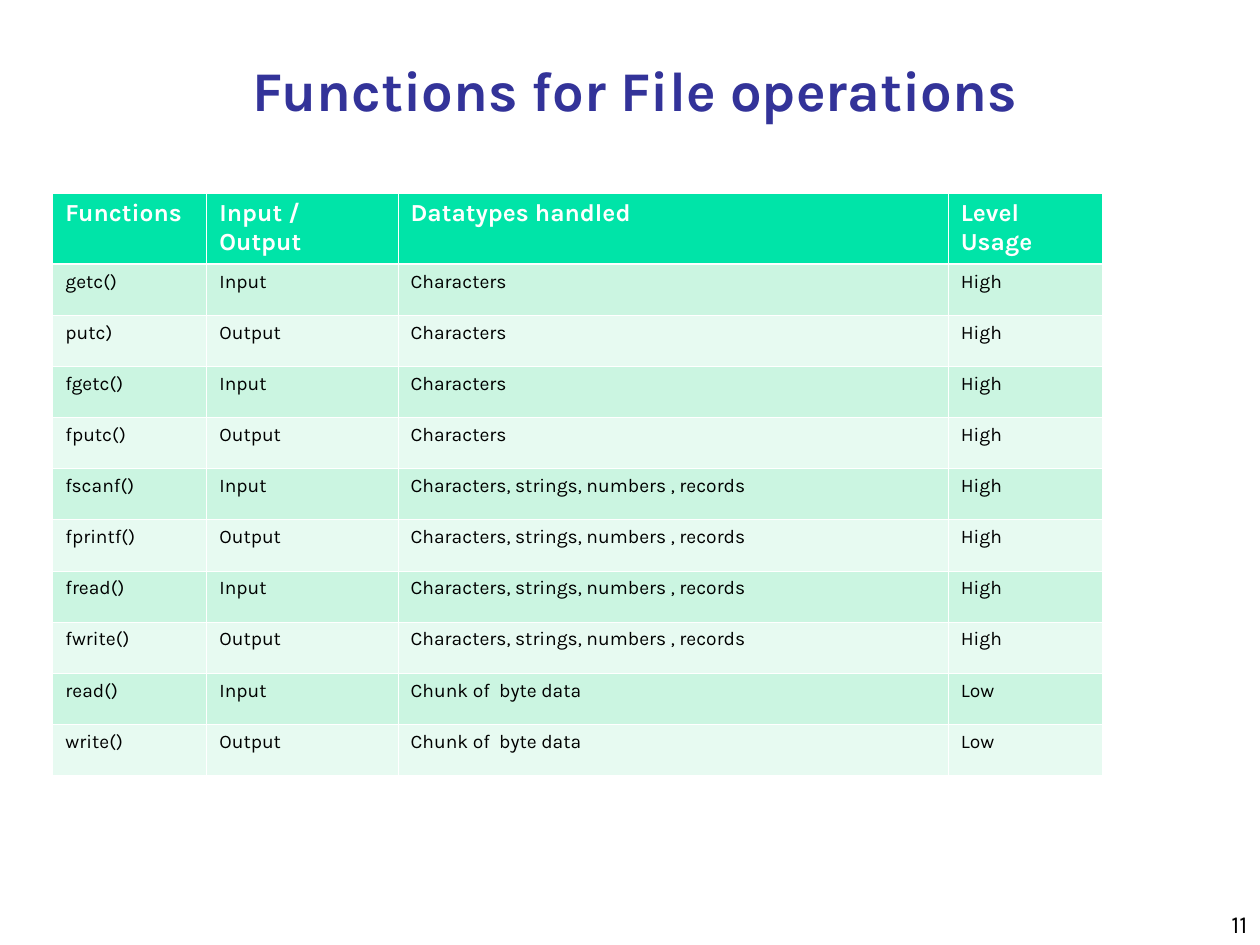
import pptx
import pptx.dml.color
import pptx.enum.text
import pptx.oxml
import pptx.oxml.ns
import pptx.util

Pt = pptx.util.Pt
ALIGN = pptx.enum.text.PP_ALIGN
ANCHOR = pptx.enum.text.MSO_ANCHOR
FONT = "Karla"
HEADER_FILL = "00E4A8"
BAND_FILLS = ("CBF5E1", "E7FAF1")
COLUMN_WIDTHS = (88, 109.3, 314.4, 88.3)
HEADER_HEIGHT = 40.7
ROW_HEIGHT = 29.2
HEADERS = ("Functions", "Input /\nOutput", "Datatypes handled", "Level\nUsage")
CHARACTERS = "Characters"
MIXED = "Characters, strings, numbers , records"
BYTES = "Chunk of  byte data"
FUNCTION_PAIRS = (
    ("getc()", "putc)", CHARACTERS, "High"),
    ("fgetc()", "fputc()", CHARACTERS, "High"),
    ("fscanf()", "fprintf()", MIXED, "High"),
    ("fread()", "fwrite()", MIXED, "High"),
    ("read()", "write()", BYTES, "Low"),
)


def rgb(color):
    return pptx.dml.color.RGBColor.from_string(color)


def add_text(tf, text, size, color, bold=False, align=ALIGN.LEFT):
    for i, line in enumerate(text.split("\n")):
        p = tf.paragraphs[0] if i == 0 else tf.add_paragraph()
        p.alignment = align
        r = p.add_run()
        r.text = line
        r.font.name = FONT
        r.font.size = Pt(size)
        r.font.bold = bold
        r.font.color.rgb = rgb(color)


def place(sp, left, top, width, height):
    sp.left, sp.top = Pt(left), Pt(top)
    sp.width, sp.height = Pt(width), Pt(height)


def add_title(s, text):
    sp = s.shapes.title
    place(sp, 42, 24, 642, 54)
    tf = sp.text_frame
    tf.auto_size = pptx.enum.text.MSO_AUTO_SIZE.NONE
    tf.vertical_anchor = ANCHOR.MIDDLE
    add_text(tf, text, 32, "333399", True, ALIGN.CENTER)


def add_page_number(s, text):
    sp = s.shapes.add_textbox(Pt(570), Pt(504), Pt(150), Pt(36))
    tf = sp.text_frame
    tf.word_wrap = True
    tf.vertical_anchor = ANCHOR.BOTTOM
    add_text(tf, text, 14, "000000", align=ALIGN.RIGHT)


def set_borders(cell, widths, color="FFFFFF"):
    tc_pr = cell._tc.get_or_add_tcPr()
    for side, width in zip("LRTB", widths):
        tc_pr.append(pptx.oxml.parse_xml(
            f'<a:ln{side} {pptx.oxml.ns.nsdecls("a")} w="{Pt(width)}">'
            f'<a:solidFill><a:srgbClr val="{color}"/></a:solidFill></a:ln{side}>'
        ))


def fill_cell(cell, text, fill, size, color, bold, borders):
    set_borders(cell, borders)
    cell.fill.solid()
    cell.fill.fore_color.rgb = rgb(fill)
    cell.margin_left = cell.margin_right = Pt(7.2)
    cell.margin_top = cell.margin_bottom = Pt(3.6)
    add_text(cell.text_frame, text, size, color, bold)


def add_function_table(s):
    rows = [HEADERS]
    for reader, writer, datatypes, level in FUNCTION_PAIRS:
        rows.append((reader, "Input", datatypes, level))
        rows.append((writer, "Output", datatypes, level))
    height = HEADER_HEIGHT + ROW_HEIGHT * (len(rows) - 1)
    table = s.shapes.add_table(
        len(rows), len(HEADERS), Pt(30.2), Pt(110.2),
        Pt(sum(COLUMN_WIDTHS)), Pt(height)).table
    for column, width in zip(table.columns, COLUMN_WIDTHS):
        column.width = Pt(width)
    thin, thick = 0.45, 1.47
    for i, row in enumerate(rows):
        table.rows[i].height = Pt(ROW_HEIGHT if i else HEADER_HEIGHT)
        top = thick if i == 1 else thin
        bottom = thin if i else thick
        borders = (thin, thin, top, bottom)
        if i == 0:
            style = (HEADER_FILL, 14, "FFFFFF", True, borders)
        else:
            style = (BAND_FILLS[(i - 1) % 2], 11, "000000", False, borders)
        for j, text in enumerate(row):
            fill_cell(table.cell(i, j), text, *style)


def main():
    prs = pptx.Presentation()
    prs.slide_width, prs.slide_height = Pt(720), Pt(540)
    s = prs.slides.add_slide(prs.slide_layouts[5])
    add_page_number(s, "11")
    add_title(s, "Functions for File operations")
    add_function_table(s)
    prs.save("out.pptx")


if __name__ == "__main__":
    main()
